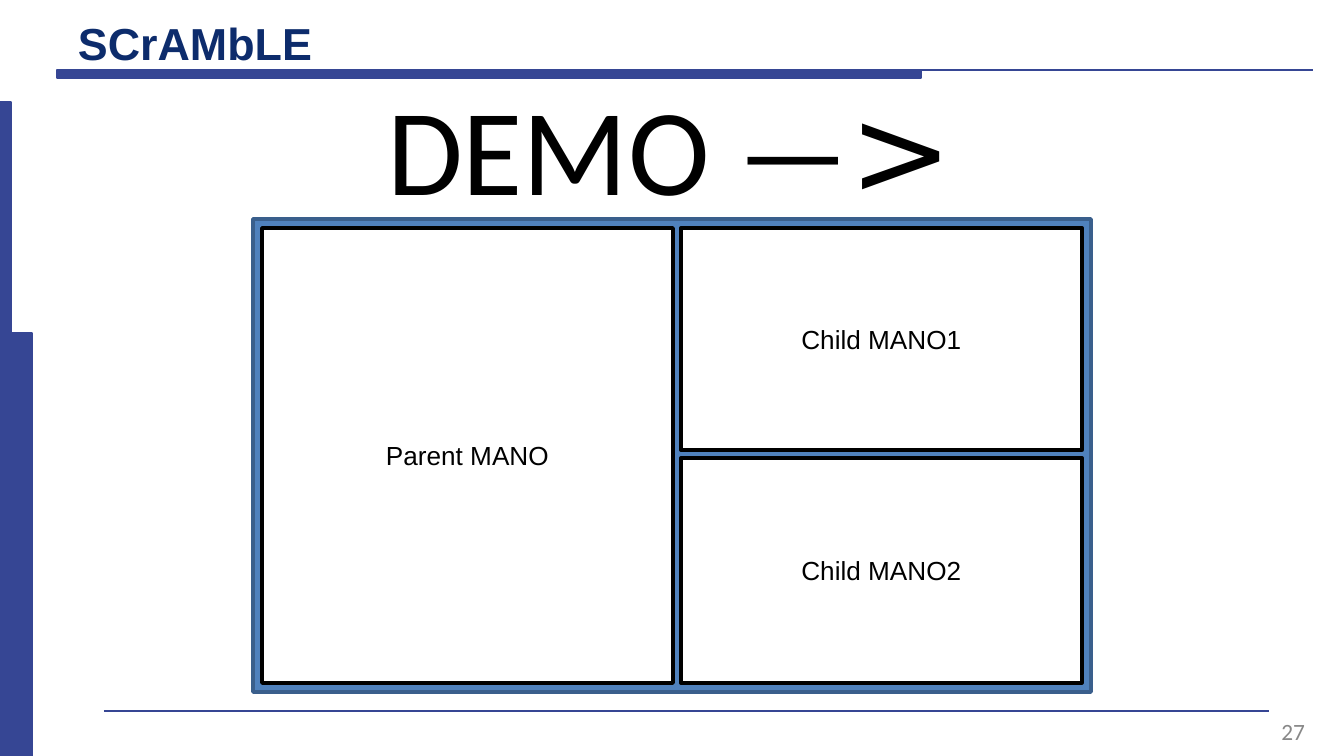
import pptx
import pptx.dml.color
import pptx.enum.shapes
import pptx.enum.text
import pptx.oxml.ns
import pptx.util
from dataclasses import dataclass
from lxml import etree

TITLE = "SCrAMbLE"
PAGE_NUMBER = "27"
PARENT = "Parent MANO"
CHILDREN = [("Child MANO1", 222), ("Child MANO2", 225)]  # label, height

EMU_PER_PX = 914400 / 134.4
SLIDE_SIZE = (1344, 756)
SIDE_BARS = [(0, 333, 32, 423), (0, 102, 11, 654)]
FRAME = (253, 219, 838, 473)
FRAME_MARGIN, PANEL_GAP, PARENT_WIDTH = 9, 8, 411


@dataclass(frozen=True)
class Theme:
    accent: str = "364694"
    title: str = "0D2C6C"
    number: str = "888888"
    frame: str = "4F81BD"
    frame_line: str = "3A5F8C"
    panel: str = "FFFFFF"
    ink: str = "000000"
    title_size: float = 24
    demo_size: float = 66
    panel_size: float = 14
    number_size: float = 12.5
    thin: float = 0.75
    thick: float = 2
    sans: str = "Arial"
    body: str = "Calibri"
    symbol: str = "DejaVu Sans"


THEME = Theme()
DEMO_RUNS = [("DEMO —", THEME.body, False), (">", THEME.symbol, True)]
ALIGN = pptx.enum.text.PP_ALIGN
ANCHOR = pptx.enum.text.MSO_ANCHOR


def px(length):
    return pptx.util.Emu(round(length * EMU_PER_PX))


def rgb(value):
    return pptx.dml.color.RGBColor.from_string(value)


def paint(shape, fill, line, width):
    shape.shadow.inherit = False
    shape.fill.solid()
    shape.fill.fore_color.rgb = rgb(fill)
    shape.line.color.rgb = rgb(line)
    shape.line.width = pptx.util.Pt(width)


def add_rectangle(slide, box, fill, line, width):
    shape = slide.shapes.add_shape(
        pptx.enum.shapes.MSO_SHAPE.RECTANGLE, *map(px, box))
    paint(shape, fill, line, width)
    return shape


def add_run(paragraph, text, size, font, color, bold=False, italic=False):
    run = paragraph.add_run()
    run.text = text
    run.font.size = pptx.util.Pt(size)
    run.font.name = font
    run.font.color.rgb = rgb(color)
    run.font.bold = bold
    run.font.italic = italic


def set_up_text(shape, align, anchor, wrap=True, top=7):
    """Set the frame's layout and return its first paragraph."""
    frame = shape.text_frame
    frame.auto_size = pptx.enum.text.MSO_AUTO_SIZE.NONE
    frame.word_wrap = wrap
    frame.vertical_anchor = anchor
    frame.margin_left = frame.margin_right = px(13)
    frame.margin_top, frame.margin_bottom = px(top), px(7)
    paragraph = frame.paragraphs[0]
    paragraph.alignment = align
    return paragraph


def add_decoration(slide):
    for bar in SIDE_BARS:
        add_rectangle(slide, bar, THEME.accent, THEME.accent, THEME.thin)

    footer = slide.shapes.add_connector(
        pptx.enum.shapes.MSO_CONNECTOR.STRAIGHT, *map(px, (104, 711, 1269, 711)))
    footer.line.color.rgb = rgb(THEME.accent)
    footer.line.width = pptx.util.Pt(THEME.thin)
    etree.SubElement(footer._element.spPr, pptx.oxml.ns.qn("a:effectLst"))

    builder = slide.shapes.build_freeform(57, 70, scale=EMU_PER_PX)
    builder.add_line_segments([(921, 70), (921, 78), (57, 78)], close=True)
    builder.move_to(57, 70)
    builder.add_line_segments([(1313, 70)], close=False)
    paint(builder.convert_to_shape(), THEME.accent, THEME.accent, THEME.thin)


def add_headings(slide):
    title = slide.shapes.title
    title.left, title.top, title.width, title.height = map(px, (65, 5, 1254, 55))
    paragraph = set_up_text(title, ALIGN.LEFT, ANCHOR.TOP, top=11)
    add_run(paragraph, TITLE, THEME.title_size, THEME.sans, THEME.title, bold=True)

    demo = slide.shapes.add_textbox(*map(px, (374, 60, 597, 122)))
    paragraph = set_up_text(demo, ALIGN.LEFT, ANCHOR.TOP, wrap=False, top=12)
    for text, font, italic in DEMO_RUNS:
        add_run(paragraph, text, THEME.demo_size, font, THEME.ink, italic=italic)

    number = slide.shapes.add_textbox(*map(px, (1232, 711, 86, 40)))
    paragraph = set_up_text(number, ALIGN.RIGHT, ANCHOR.MIDDLE)
    add_run(paragraph, PAGE_NUMBER, THEME.number_size, THEME.body, THEME.number)


def add_panel(slide, label, box):
    panel = add_rectangle(slide, box, THEME.panel, THEME.ink, THEME.thick)
    paragraph = set_up_text(panel, ALIGN.CENTER, ANCHOR.MIDDLE)
    add_run(paragraph, label, THEME.panel_size, THEME.sans, THEME.ink)


def add_screen(slide):
    add_rectangle(slide, FRAME, THEME.frame, THEME.frame_line, THEME.thick)
    left, top, width, height = FRAME
    left, top = left + FRAME_MARGIN, top + FRAME_MARGIN
    width, height = width - 2 * FRAME_MARGIN, height - 2 * FRAME_MARGIN
    add_panel(slide, PARENT, (left, top, PARENT_WIDTH, height))
    child_left = left + PARENT_WIDTH + PANEL_GAP
    child_width = width - PARENT_WIDTH - PANEL_GAP
    for label, child_height in CHILDREN:
        add_panel(slide, label, (child_left, top, child_width, child_height))
        top += child_height + PANEL_GAP


def main():
    presentation = pptx.Presentation()
    presentation.slide_width, presentation.slide_height = map(px, SLIDE_SIZE)
    slide = presentation.slides.add_slide(presentation.slide_layouts[5])
    add_decoration(slide)
    add_headings(slide)
    add_screen(slide)
    presentation.save("out.pptx")


if __name__ == "__main__":
    main()
